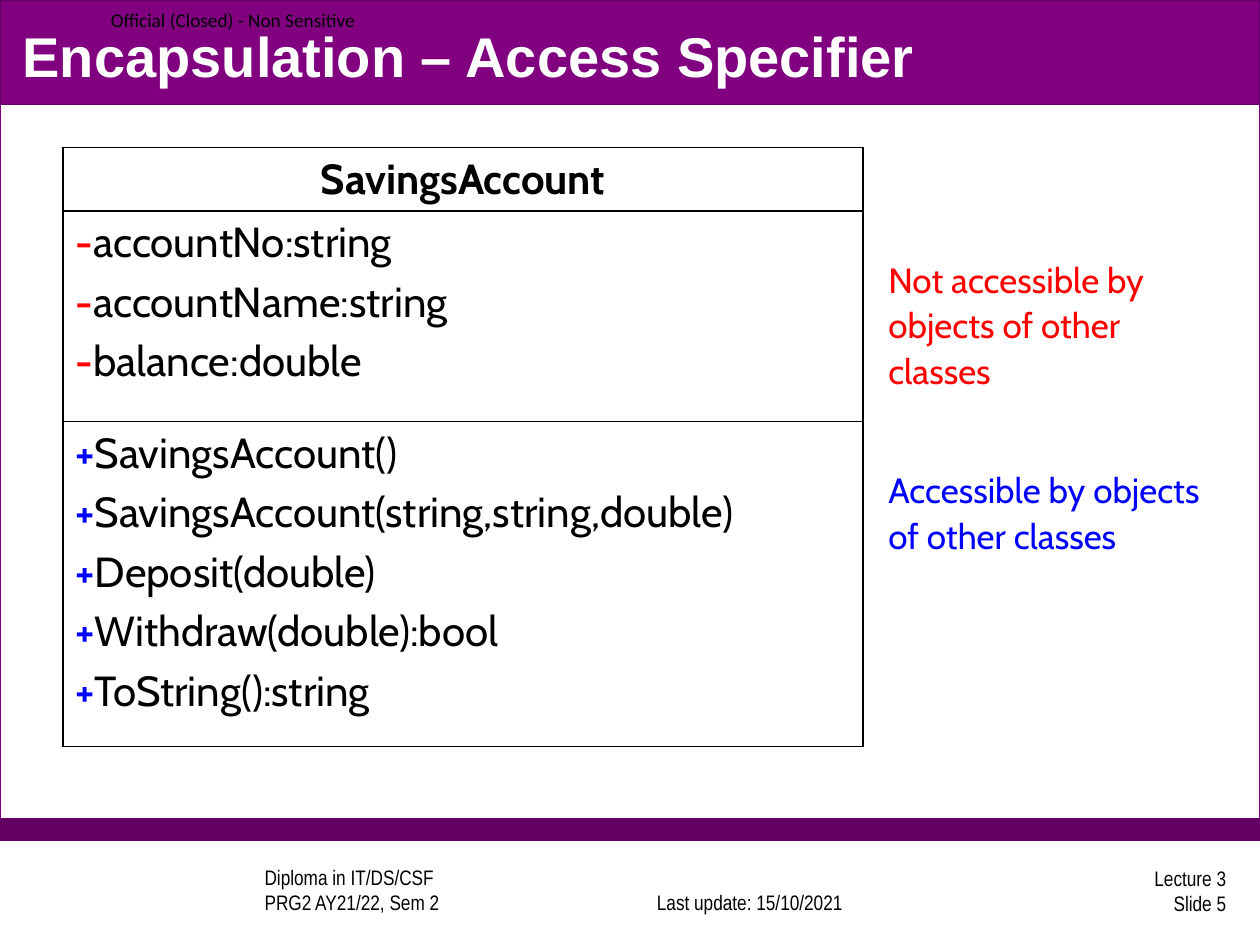
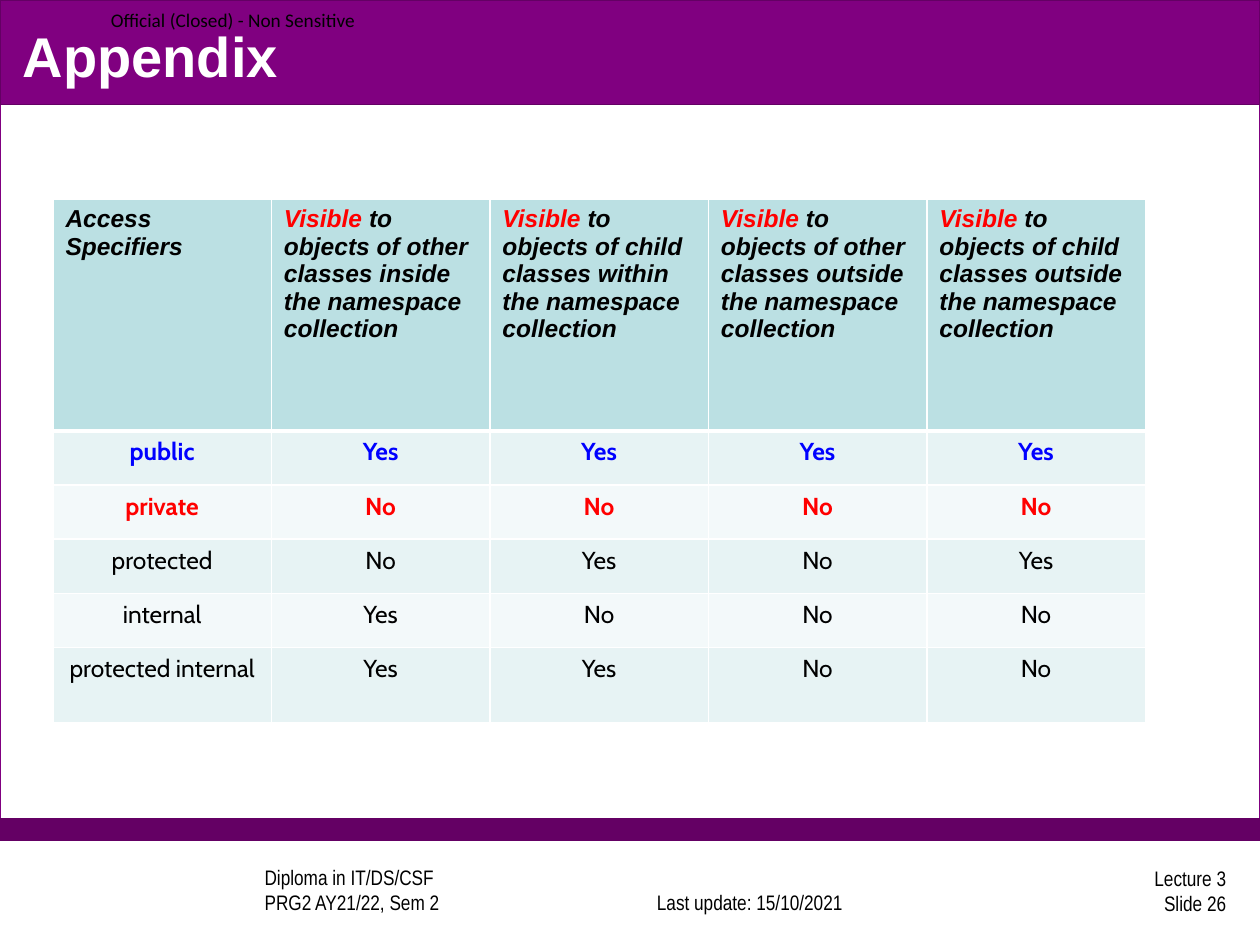
from lxml import etree
from pptx import Presentation
from pptx.dml.color import RGBColor
from pptx.enum import shapes, text
from pptx.oxml.ns import qn
from pptx.util import Inches, Pt

BLACK = RGBColor(0x00, 0x00, 0x00)
WHITE = RGBColor(0xFF, 0xFF, 0xFF)
RED = RGBColor(0xFF, 0x00, 0x00)
BLUE = RGBColor(0x00, 0x00, 0xFF)
PURPLE = RGBColor(0x80, 0x00, 0x80)
DARK_PURPLE = RGBColor(0x64, 0x00, 0x64)
HEADER_TEAL = RGBColor(0xBB, 0xE0, 0xE3)
BAND_TEALS = (RGBColor(0xE7, 0xF3, 0xF4), RGBColor(0xF3, 0xF9, 0xFA))

TITLE_FONT, BODY_FONT = "Arial", "Cabin"
FOOTER_FONT, MARKING_FONT = "Arial Narrow", "Calibri"
PLAIN_TABLE_STYLE = "{2D5ABB26-0587-4C30-8999-92F81FD0307C}"
LEFT, CENTER, RIGHT = text.PP_ALIGN.LEFT, text.PP_ALIGN.CENTER, text.PP_ALIGN.RIGHT
MIDDLE, BOTTOM = text.MSO_ANCHOR.MIDDLE, text.MSO_ANCHOR.BOTTOM

# left, top, width, height, fill, line
BANDS = [
    (0, 0, 10, 6.67, WHITE, PURPLE),
    (0, 6.5, 10, 0.17, DARK_PURPLE, DARK_PURPLE),
    (0, 0, 10, 0.83, PURPLE, DARK_PURPLE),
]
# lines, box, left margin, alignment, anchor, font, size
SHARED_TEXTS = [
    (["Diploma in IT/DS/CSF", "PRG2 AY21/22, Sem 2"],
     (1.5, 6.9, 3.17, 0.41), 0.6, LEFT, BOTTOM, FOOTER_FONT, 12),
    (["Last update: 15/10/2021"],
     (4.88, 6.89, 2.08, 0.42), 0.16, CENTER, BOTTOM, FOOTER_FONT, 12),
    (["Lecture 3", "Slide {number}"],
     (7.75, 6.86, 2.08, 0.42), 0.1, RIGHT, MIDDLE, FOOTER_FONT, 12),
    (["Official (Closed) - Non Sensitive"],
     (0, 0, 3.5, 0.31), 0.88, LEFT, MIDDLE, MARKING_FONT, 11),
]

CLASS_NAME = "SavingsAccount"
# sign, colour, members, note, row height
MEMBER_GROUPS = [
    ("-", RED, ["accountNo:string", "accountName:string", "balance:double"],
     "Not accessible by objects of other classes", 1.67),
    ("+", BLUE, ["SavingsAccount()", "SavingsAccount(string,string,double)",
                 "Deposit(double)", "Withdraw(double):bool", "ToString():string"],
     "Accessible by objects of other classes", 2.58),
]

VISIBLE_TO = [
    "objects of other classes inside the namespace collection",
    "objects of child classes within the namespace collection",
    "objects of other classes outside the namespace collection",
    "objects of child classes outside the namespace collection",
]
# specifier, answers, colour, bold
SPECIFIERS = [
    ("public", "Yes Yes Yes Yes", BLUE, True),
    ("private", "No No No No", RED, True),
    ("protected", "No Yes No Yes", BLACK, False),
    ("internal", "Yes No No No", BLACK, False),
    ("protected internal", "Yes Yes No No", BLACK, False),
]


def add_run(paragraph, words, font, size, color, bold=False, italic=False):
    run = paragraph.add_run()
    run.text = words
    run.font.name, run.font.size = font, Pt(size)
    run.font.bold, run.font.italic = bold, italic
    run.font.color.rgb = color


def add_band(slide, left, top, width, height, fill, line):
    band = slide.shapes.add_shape(shapes.MSO_SHAPE.RECTANGLE, Inches(left),
                                  Inches(top), Inches(width), Inches(height))
    band.shadow.inherit = False
    band.fill.solid()
    band.fill.fore_color.rgb = fill
    band.line.color.rgb = line
    band.line.width = Pt(0.75)


def add_shared_text(slide, number, lines, box, margin, align, anchor, font, size):
    frame = slide.shapes.add_textbox(*map(Inches, box)).text_frame
    frame.word_wrap = True
    frame.margin_left = Inches(margin)
    frame.vertical_anchor = anchor
    paragraph = frame.paragraphs[0]
    paragraph.alignment = align
    for index, line in enumerate(lines):
        if index:
            paragraph.add_line_break()
        add_run(paragraph, line.format(number=number), font, size, BLACK)


def add_slide(presentation, heading, number):
    slide = presentation.slides.add_slide(presentation.slide_layouts[5])
    for band in BANDS:
        add_band(slide, *band)
    for shared in SHARED_TEXTS:
        add_shared_text(slide, number, *shared)
    title = slide.shapes.title
    title.left, title.top = Inches(0.08), Inches(0.13)
    title.width, title.height = Inches(9.83), Inches(0.62)
    title.text_frame.vertical_anchor = MIDDLE
    paragraph = title.text_frame.paragraphs[0]
    paragraph.alignment = LEFT
    add_run(paragraph, heading, TITLE_FONT, 32, WHITE, bold=True)
    title.element.getparent().append(title.element)  # in front of the bands
    return slide


def add_plain_table(slide, left, top, columns, rows):
    """Add a table without style; columns and rows are sizes in inches."""
    frame = slide.shapes.add_table(len(rows), len(columns), Inches(left), Inches(top),
                                   Inches(sum(columns)), Inches(sum(rows)))
    frame.element.find(".//" + qn("a:tableStyleId")).text = PLAIN_TABLE_STYLE
    table = frame.table
    table.first_row = table.horz_banding = False
    for column, width in zip(table.columns, columns):
        column.width = Inches(width)
    for row, height in zip(table.rows, rows):
        row.height = Inches(height)
    return table


def set_borders(cell, color, **widths):
    """Draw the named sides (L, R, T, B, in that order) with widths in points."""
    properties = cell._tc.get_or_add_tcPr()
    for side, width in widths.items():
        line = etree.SubElement(properties, qn("a:ln" + side), w=str(Pt(width)))
        fill = etree.SubElement(line, qn("a:solidFill"))
        etree.SubElement(fill, qn("a:srgbClr"), val=str(color))


def fill_cell(cell, color):
    cell.fill.solid()
    cell.fill.fore_color.rgb = color


def add_class_diagram(slide):
    heights = [0.5] + [group[-1] for group in MEMBER_GROUPS]
    table = add_plain_table(slide, 0.5, 1.17, [6.35, 2.9], heights)
    for row in range(len(heights)):
        set_borders(table.cell(row, 0), BLACK, L=1, R=1, T=1, B=1)
        set_borders(table.cell(row, 1), BLACK, L=1)
    paragraph = table.cell(0, 0).text_frame.paragraphs[0]
    paragraph.alignment = CENTER
    add_run(paragraph, CLASS_NAME, BODY_FONT, 24, BLACK, bold=True)

    for row, (sign, color, members, note, _) in enumerate(MEMBER_GROUPS, 1):
        frame = table.cell(row, 0).text_frame
        for index, member in enumerate(members):
            paragraph = frame.add_paragraph() if index else frame.paragraphs[0]
            if index:
                paragraph.space_before = Pt(4.8)
            add_run(paragraph, sign, BODY_FONT, 24, color, bold=True)
            add_run(paragraph, member, BODY_FONT, 24, BLACK)
        note_cell = table.cell(row, 1)
        note_cell.margin_left, note_cell.margin_right = Inches(0.2), Inches(0.07)
        note_cell.margin_top, note_cell.margin_bottom = Inches(0.36), 0
        paragraph = note_cell.text_frame.paragraphs[0]
        paragraph.line_spacing = 1.07
        add_run(paragraph, note, BODY_FONT, 20, color)


def add_visibility_table(slide):
    column_count = 1 + len(VISIBLE_TO)
    heights = [1.84] + [0.43] * (len(SPECIFIERS) - 1) + [0.6]
    table = add_plain_table(slide, 0.42, 1.58, [8.67 / column_count] * column_count, heights)
    for column, scope in enumerate([None] + VISIBLE_TO):
        cell = table.cell(0, column)
        set_borders(cell, WHITE, L=1, R=1, T=1, B=3)
        fill_cell(cell, HEADER_TEAL)
        runs = [("Visible", RED), (" to " + scope, BLACK)] if scope else [
            ("Access Specifiers", BLACK)]
        for words, color in runs:
            add_run(cell.text_frame.paragraphs[0], words, TITLE_FONT, 14, color, True, True)

    for row, (specifier, answers, color, bold) in enumerate(SPECIFIERS, 1):
        for column, words in enumerate([specifier] + answers.split()):
            cell = table.cell(row, column)
            set_borders(cell, WHITE, L=1, R=1, T=3 if row == 1 else 1, B=1)
            fill_cell(cell, BAND_TEALS[(row - 1) % 2])
            paragraph = cell.text_frame.paragraphs[0]
            paragraph.alignment = CENTER
            add_run(paragraph, words, BODY_FONT, 14, color, bold)


def main():
    presentation = Presentation()
    presentation.slide_width, presentation.slide_height = Inches(10), Inches(7.5)
    add_class_diagram(add_slide(presentation, "Encapsulation – Access Specifier", 5))
    add_visibility_table(add_slide(presentation, "Appendix", 26))
    presentation.save("out.pptx")


if __name__ == "__main__":
    main()
